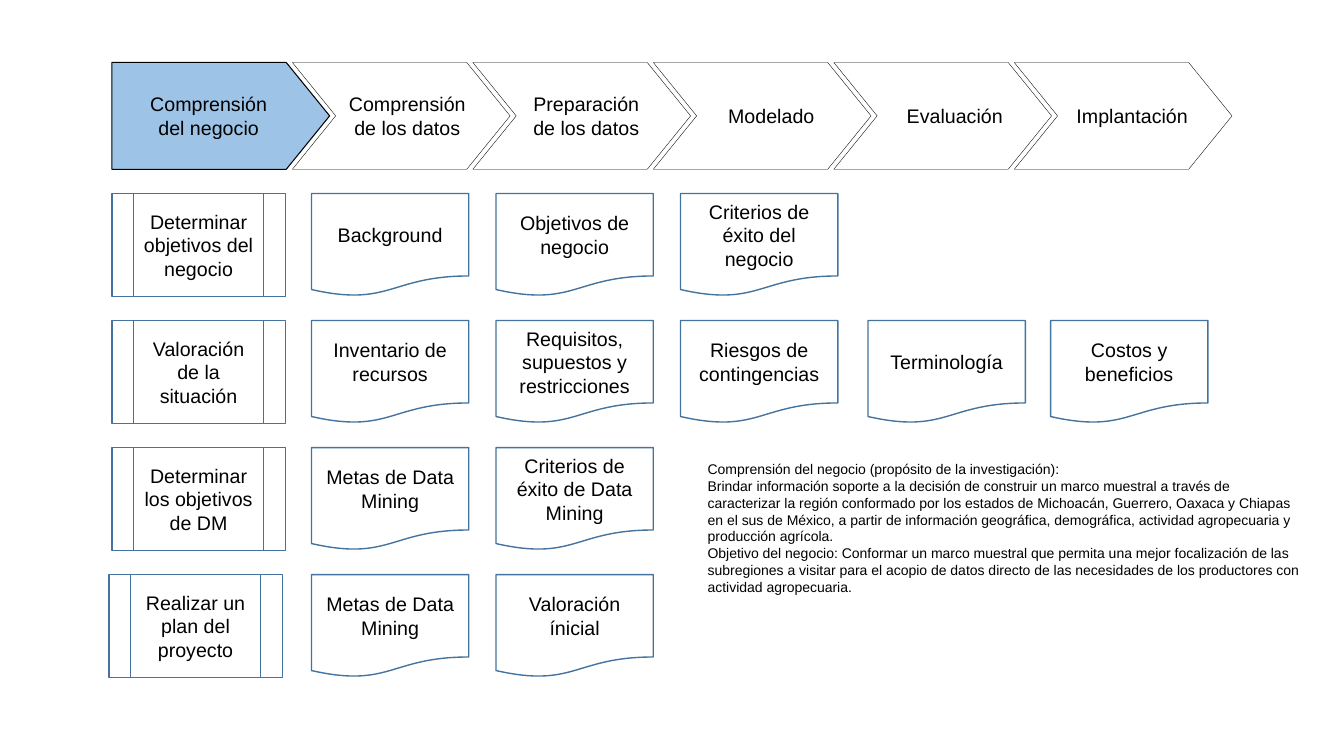
from dataclasses import dataclass

from pptx import Presentation
from pptx.dml.color import RGBColor
from pptx.enum.shapes import MSO_SHAPE as Preset
from pptx.enum.text import MSO_ANCHOR as Anchor, PP_ALIGN as Align
from pptx.util import Inches, Pt


@dataclass(frozen=True)
class Theme:
    """Colours, font and type sizes of the slide."""
    font: str = "Arial"
    text: RGBColor = RGBColor(0x00, 0x00, 0x00)
    active: RGBColor = RGBColor(0x9D, 0xC3, 0xE6)
    box_line: RGBColor = RGBColor(0x43, 0x73, 0x9E)
    label_size: int = 14
    note_size: int = 10


THEME = Theme()

# Phase arrows (inches)
PHASE_LEFT, PHASE_TOP, PHASE_STEP = 1.11, 0.62, 1.79
PHASE_WIDTH, PHASE_HEIGHT, PHASE_TIP = 2.16, 1.06, 0.43
PHASES = [  # label, label left, label width
    ("Comprensión del negocio", 1.24, 1.66),
    ("Comprensión de los datos", 3.24, 1.6),
    ("Preparación de los datos", 5.06, 1.51),
    ("Modelado", 6.85, 1.6),
    ("Evaluación", 8.67, 1.6),
    ("Implantación", 10.43, 1.6),
]

# Grid of tasks and documents (inches)
ROW_TOP, ROW_STEP, BOX_HEIGHT = 1.92, 1.26, 1.02
TASK_WIDTH, DOCUMENT_WIDTH = 1.72, 1.56
DOCUMENT_LEFTS = [3.09, 4.92, 6.75, 8.61, 10.42]
TASKS = [  # task left, task, documents
    (1.11, "Determinar objetivos del negocio",
     ["Background", "Objetivos de negocio", "Criterios de éxito del negocio"]),
    (1.11, "Valoración de la situación",
     ["Inventario de recursos", "Requisitos, supuestos y restricciones",
      "Riesgos de contingencias", "Terminología", "Costos y beneficios"]),
    (1.11, "Determinar los objetivos de DM",
     ["Metas de Data Mining", "Criterios de éxito de Data Mining"]),
    (1.08, "Realizar un plan del proyecto",
     ["Metas de Data Mining", "Valoración ínicial"]),
]

PURPOSE = [
    "Comprensión del negocio (propósito de la investigación):",
    "Brindar información soporte a la decisión de construir un marco muestral "
    "a través de caracterizar la región conformado por los estados de "
    "Michoacán, Guerrero, Oaxaca y Chiapas en el sus de México, a partir de "
    "información geográfica, demográfica, actividad agropecuaria y producción "
    "agrícola.",
    "Objetivo del negocio: Conformar un marco muestral que permita una mejor "
    "focalización de las subregiones a visitar para el acopio de datos directo "
    "de las necesidades de los productores con actividad agropecuaria.",
]


def write(shape, text, size, align, anchor):
    """Set and format the text of a shape."""
    frame = shape.text_frame
    frame.text = text
    frame.word_wrap = True
    frame.vertical_anchor = anchor
    for paragraph in frame.paragraphs:
        paragraph.alignment = align
        for run in paragraph.runs:
            run.font.name = THEME.font
            run.font.size = Pt(size)
            run.font.color.rgb = THEME.text


def style(shape, line, width, fill=None):
    """Give a shape its outline and an optional fill, without shadow."""
    shape.shadow.inherit = False
    shape.line.color.rgb = line
    shape.line.width = Pt(width)
    if fill is None:
        shape.fill.background()
    else:
        shape.fill.solid()
        shape.fill.fore_color.rgb = fill


def add_text(slide, box, text, size, align=Align.LEFT, anchor=Anchor.TOP):
    """Add a wrapping text box; box is left, top, width, height."""
    write(slide.shapes.add_textbox(*map(Inches, box)), text, size, align, anchor)


def add_phase(slide, column, active):
    """Draw one phase arrow; the active one is filled and has a flat back."""
    left = PHASE_LEFT + column * PHASE_STEP
    right, bottom = left + PHASE_WIDTH, PHASE_TOP + PHASE_HEIGHT
    middle = PHASE_TOP + PHASE_HEIGHT / 2
    points = [(right - PHASE_TIP, bottom), (right, middle),
              (right - PHASE_TIP, PHASE_TOP), (left, PHASE_TOP)]
    if not active:
        points.append((left + PHASE_TIP, middle))
    builder = slide.shapes.build_freeform(Inches(left), Inches(bottom))
    builder.add_line_segments([(Inches(x), Inches(y)) for x, y in points])
    style(builder.convert_to_shape(), THEME.text, 0.75 if active else 0.25,
          THEME.active if active else None)


def add_phase_label(slide, label, left, width):
    """Write a phase name, centred on the height of the arrows."""
    height = 0.57 if " " in label else 0.34
    top = PHASE_TOP + (PHASE_HEIGHT - height) / 2
    add_text(slide, (left, top, width, height), label, THEME.label_size,
             Align.CENTER)


def add_box(slide, preset, left, row, width, text):
    """Add a task or document box on a row of the grid."""
    box = (left, ROW_TOP + row * ROW_STEP, width, BOX_HEIGHT)
    shape = slide.shapes.add_shape(preset, *map(Inches, box))
    style(shape, THEME.box_line, 1)
    write(shape, text, THEME.label_size, Align.CENTER, Anchor.MIDDLE)


def main():
    """Build the slide and save it."""
    presentation = Presentation()
    presentation.slide_width = Inches(13.33)
    presentation.slide_height = Inches(7.5)
    slide = presentation.slides.add_slide(presentation.slide_layouts[6])

    for column in range(len(PHASES)):
        add_phase(slide, column, active=column == 0)
    for label, left, width in PHASES:
        add_phase_label(slide, label, left, width)

    for row, (task_left, task, documents) in enumerate(TASKS):
        add_box(slide, Preset.FLOWCHART_PREDEFINED_PROCESS, task_left, row,
                TASK_WIDTH, task)
        for left, document in zip(DOCUMENT_LEFTS, documents):
            add_box(slide, Preset.FLOWCHART_DOCUMENT, left, row,
                    DOCUMENT_WIDTH, document)

    add_text(slide, (6.92, 4.52, 6.12, 1.45), "\n".join(PURPOSE),
             THEME.note_size)
    presentation.save("out.pptx")


main()
